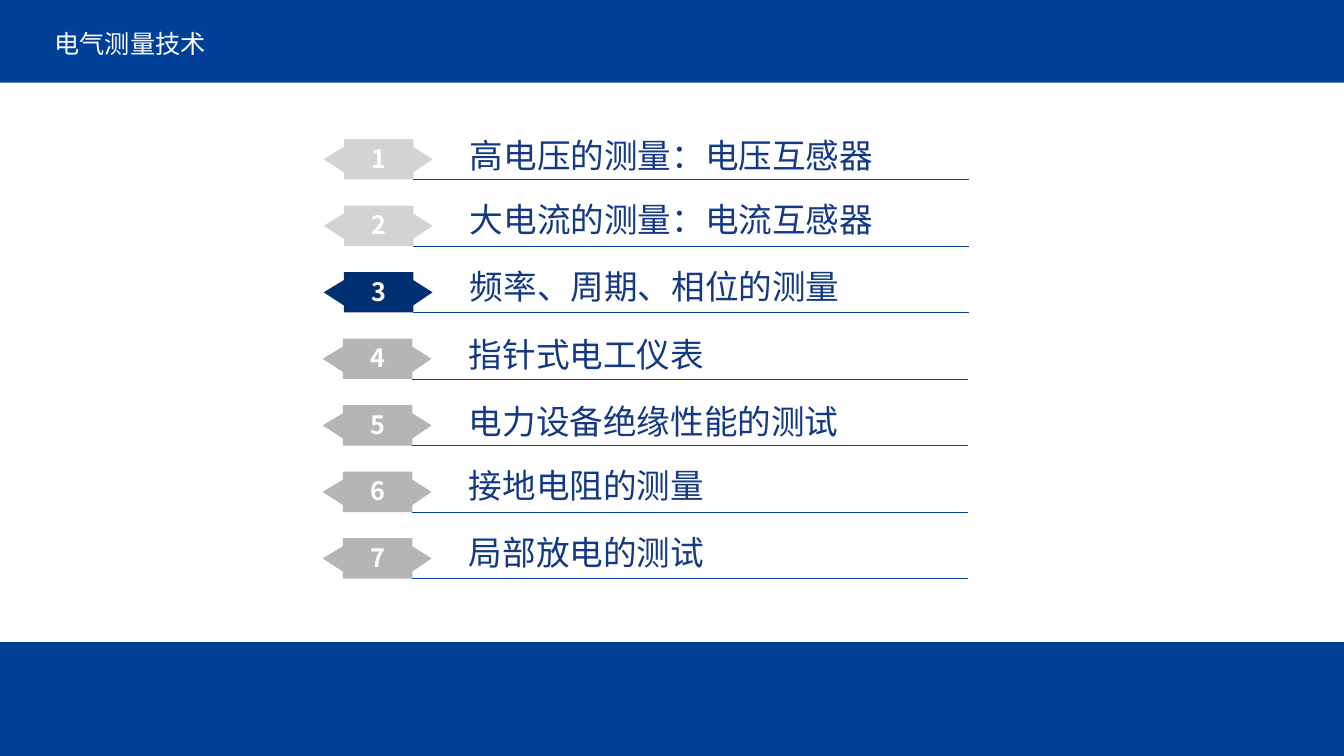
from dataclasses import dataclass

from lxml.etree import SubElement
from pptx import Presentation
from pptx.dml.color import RGBColor as Rgb
from pptx.enum.lang import MSO_LANGUAGE_ID as Lang
from pptx.enum.shapes import MSO_CONNECTOR as Link, MSO_SHAPE as Form
from pptx.enum.text import MSO_ANCHOR as Anchor, MSO_AUTO_SIZE as Fit, PP_ALIGN as Align
from pptx.oxml.ns import qn
from pptx.util import Inches, Pt

COLORS = {
    "band": "004098",
    "white": "FFFFFF",
    "text": "133984",
    "done": "D3D3D3",
    "now": "003072",
    "next": "B5B5B6",
}
TOP, STEP = 1.38, 0.66
TAG = [(0.89, 0), (0.2, 0), (0.2, 0.08), (0, 0.2), (0.2, 0.33), (0.2, 0.4),
       (0.89, 0.4), (0.89, 0.33), (1.08, 0.2), (0.89, 0.08)]


@dataclass
class Row:
    """One topic; drop is the top of its text relative to its tag."""
    label: str
    state: str
    left: float
    drop: float
    width: float


ROWS = [
    Row("高电压的测量：电压互感器", "done", 3.21, -0.04, 5.54),
    Row("大电流的测量：电流互感器", "done", 3.21, -0.07, 4.92),
    Row("频率、周期、相位的测量", "now", 3.21, -0.06, 4.92),
    Row("指针式电工仪表", "next", 3.2, -0.05, 5.63),
    Row("电力设备绝缘性能的测试", "next", 3.2, -0.04, 5.63),
    Row("接地电阻的测量", "next", 3.2, -0.07, 5.63),
    Row("局部放电的测试", "next", 3.2, -0.06, 5.63),
]


def hue(name: str) -> Rgb:
    return Rgb.from_string(COLORS[name])


def paint(shape, color: str) -> None:
    shape.shadow.inherit = False
    shape.fill.solid()
    shape.fill.fore_color.rgb = hue(color)
    shape.line.fill.background()


def write(shape, text: str, *, font: str, size: float, color: str, bold: bool = False,
          align=Align.LEFT, anchor=Anchor.MIDDLE, wrap: bool = True, space=None) -> None:
    frame = shape.text_frame
    frame.auto_size = Fit.NONE
    frame.word_wrap = wrap
    frame.vertical_anchor = anchor
    frame.margin_left = frame.margin_right = Inches(0.07)
    frame.margin_top = frame.margin_bottom = 0
    para = frame.paragraphs[0]
    para.alignment = align
    para.line_spacing = space
    run = para.add_run()
    run.text = text
    face = run.font
    face.name, face.size, face.bold = font, Pt(size), bold
    face.color.rgb = hue(color)
    face.language_id = Lang.SIMPLIFIED_CHINESE


def draw_band(slide, top: float, height: float) -> None:
    band = slide.shapes.add_shape(Form.RECTANGLE, 0, Inches(top), Inches(13.33), Inches(height))
    paint(band, "band")


def draw_tag(shapes, left: float, top: float, color: str) -> None:
    """Draw the two-headed arrow behind a number."""
    spots = [(Inches(left + x), Inches(top + y)) for x, y in TAG]
    pen = shapes.build_freeform(*spots[0])
    pen.add_line_segments(spots[1:], close=True)
    paint(pen.convert_to_shape(), color)


def draw_rule(shapes, left: float, top: float) -> None:
    rule = shapes.add_connector(Link.STRAIGHT, Inches(left), Inches(top),
                                Inches(left + 5.51), Inches(top))
    rule.line.color.rgb = hue("band")
    rule.line.width = Pt(0.5)
    SubElement(rule.element.spPr, qn("a:effectLst"))


def draw_row(slide, index: int, row: Row) -> None:
    shapes = slide.shapes.add_group_shape().shapes
    top = TOP + STEP * index
    draw_tag(shapes, row.left, top, row.state)
    digit = shapes.add_textbox(Inches(row.left + 0.3), Inches(top - 0.07),
                               Inches(0.49), Inches(0.52))
    write(digit, str(index + 1), font="Noto Sans CJK SC", size=18, color="white",
          bold=True, align=Align.CENTER, wrap=False)
    draw_rule(shapes, row.left + 0.89, top + 0.4)
    label = shapes.add_textbox(Inches(row.left + 1.38), Inches(top + row.drop),
                               Inches(row.width), Inches(0.5))
    write(label, row.label, font="Arial", size=24, color="text", anchor=Anchor.TOP)


def draw_title(slide, text: str) -> None:
    title = slide.shapes.title
    title.left, title.top = Inches(0.47), Inches(0.26)
    title.width, title.height = Inches(9.44), Inches(0.37)
    write(title, text, font="Times New Roman", size=18, color="white", space=0.9)
    title.element.getparent().append(title.element)  # bring above the bands


def main() -> None:
    deck = Presentation()
    deck.slide_width, deck.slide_height = Inches(13.33), Inches(7.5)
    slide = deck.slides.add_slide(deck.slide_layouts[5])
    for top, height in [(6.37, 1.13), (0, 0.12), (0.09, 0.73)]:
        draw_band(slide, top, height)
    draw_title(slide, "电气测量技术")
    for index, row in enumerate(ROWS):
        draw_row(slide, index, row)
    deck.save("out.pptx")


if __name__ == "__main__":
    main()
